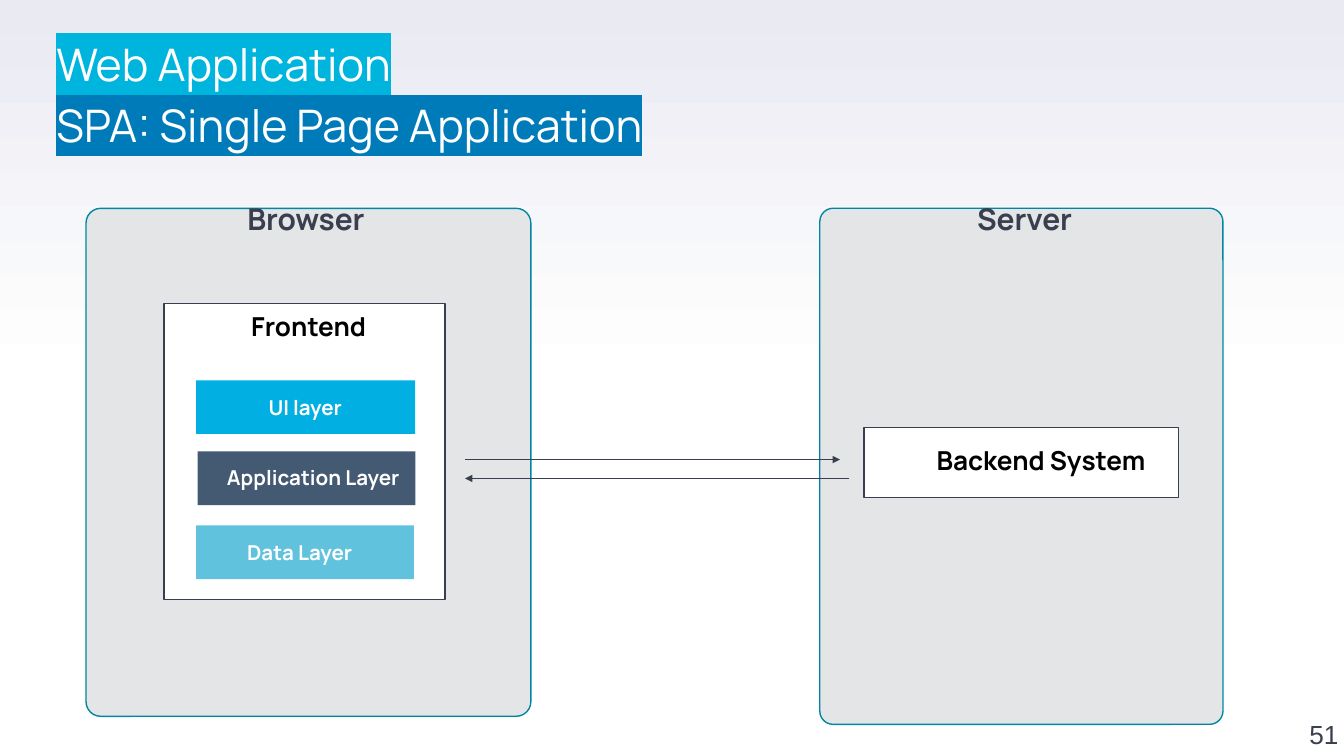
"""Builds a slide on the single page application architecture."""
import dataclasses

import lxml.etree
import pptx
import pptx.dml.color
import pptx.enum.shapes
import pptx.enum.text
import pptx.oxml.ns
import pptx.util

Inches = pptx.util.Inches
Pt = pptx.util.Pt
Shape = pptx.enum.shapes.MSO_SHAPE
Align = pptx.enum.text.PP_ALIGN
Anchor = pptx.enum.text.MSO_ANCHOR
qn = pptx.oxml.ns.qn


@dataclasses.dataclass(frozen=True)
class Theme:
    """Fonts, type sizes and colours of the slide."""
    font: str = "Manrope"
    number_font: str = "Arial"
    title_size: int = 24
    zone_size: int = 16
    system_size: int = 14
    layer_size: int = 11
    line_width: float = 0.75
    ink: str = "3A3F50"
    black: str = "000000"
    white: str = "FFFFFF"
    sky: str = "E9EAF2"
    zone: str = "E3E5E7"
    zone_edge: str = "0086A3"
    title_cyan: str = "00B5DD"
    title_blue: str = "007BB9"
    ui: str = "01AFE2"
    application: str = "435A72"
    data: str = "61C2DD"


def rgb(color):
    """Turn a hex string into a colour."""
    return pptx.dml.color.RGBColor.from_string(color)


def write(para, text, *, size, color, font, bold=False, highlight=None, spacing=None, align=Align.LEFT):
    """Add one formatted span to a paragraph."""
    para.alignment = align
    if spacing:
        para.line_spacing = spacing
    span = para.add_run()
    span.text = text
    span.font.size = Pt(size)
    span.font.name = font
    span.font.bold = bold
    span.font.color.rgb = rgb(color)
    if highlight:
        mark = lxml.etree.Element(qn("a:highlight"))
        lxml.etree.SubElement(mark, qn("a:srgbClr"), val=highlight)
        span.font._element.find(qn("a:solidFill")).addnext(mark)


class Painter:
    """Draws styled elements on the current slide."""

    def __init__(self, page, theme):
        """Keep the slide and its style."""
        self.page = page
        self.theme = theme

    def background(self):
        """Fade the page from a tint at the top to white at the middle."""
        fill = self.page.background.fill
        fill.gradient()
        fill.gradient_angle = 90
        stops = zip(fill.gradient_stops, (0.5, 1), (self.theme.white, self.theme.sky))
        for stop, position, color in stops:
            stop.position = position
            stop.color.rgb = rgb(color)

    def frame(self, box, inset=(0, 0), anchor=Anchor.TOP):
        """Set wrapping, insets and anchor, and return the text frame."""
        frame = box.text_frame
        frame.word_wrap = True
        frame.auto_size = pptx.enum.text.MSO_AUTO_SIZE.NONE
        frame.vertical_anchor = anchor
        frame.margin_left = frame.margin_right = Inches(inset[0])
        frame.margin_top = frame.margin_bottom = Inches(inset[1])
        return frame

    def title(self, lines, left, top, width, height):
        """Fill the title placeholder with highlighted lines."""
        box = self.page.shapes.title
        box.left, box.top = Inches(left), Inches(top)
        box.width, box.height = Inches(width), Inches(height)
        frame = self.frame(box)
        for index, (text, highlight) in enumerate(lines):
            para = frame.add_paragraph() if index else frame.paragraphs[0]
            write(para, text, size=self.theme.title_size, color=self.theme.white,
                  font=self.theme.font, highlight=highlight, spacing=1.15)

    def panel(self, left, top, width, height, fill, edge=None, corner=None):
        """Draw a rectangle, rounded when a corner is given."""
        kind = Shape.ROUNDED_RECTANGLE if corner else Shape.RECTANGLE
        box = self.page.shapes.add_shape(
            kind, Inches(left), Inches(top), Inches(width), Inches(height))
        box.shadow.inherit = False
        if corner:
            box.adjustments[0] = corner
        box.fill.solid()
        box.fill.fore_color.rgb = rgb(fill)
        if edge:
            box.line.color.rgb = rgb(edge)
            box.line.width = Pt(self.theme.line_width)
        else:
            box.line.fill.background()

    def label(self, text, left, top, width, height, *, inset=(0.1, 0.05), anchor=Anchor.TOP, **style):
        """Place a one-line text box."""
        box = self.page.shapes.add_textbox(
            Inches(left), Inches(top), Inches(width), Inches(height))
        style = {"font": self.theme.font, "bold": True} | style
        write(self.frame(box, inset, anchor).paragraphs[0], text, **style)
        return box

    def zone_label(self, text, left, top, width, height, indent):
        """Place an indented zone heading."""
        box = self.label(text, left, top, width, height, inset=(0, 0),
                         size=self.theme.zone_size, color=self.theme.ink, spacing=1.1)
        box.text_frame.margin_left = Inches(indent)

    def arrow(self, start, end, level):
        """Draw a horizontal arrow with a small head."""
        line = self.page.shapes.add_connector(
            pptx.enum.shapes.MSO_CONNECTOR.STRAIGHT,
            Inches(start), Inches(level), Inches(end), Inches(level))
        line.line.color.rgb = rgb(self.theme.ink)
        line.line.width = Pt(self.theme.line_width)
        lxml.etree.SubElement(line.line._get_or_add_ln(), qn("a:tailEnd"),
                              type="triangle", w="sm", len="sm")
        lxml.etree.SubElement(line._element.spPr, qn("a:effectLst"))


def main():
    """Build and save the deck."""
    theme = Theme()
    deck = pptx.Presentation()
    deck.slide_width = Inches(10)
    deck.slide_height = deck.slide_width * 9 // 16
    painter = Painter(deck.slides.add_slide(deck.slide_layouts[5]), theme)

    painter.background()
    painter.title([("Web Application", theme.title_cyan),
                   ("SPA: Single Page Application", theme.title_blue)],
                  0.42, 0.21, 5.69, 0.98)
    painter.label("51", 9.46, 5.07, 0.5, 0.51, inset=(0, 0), anchor=Anchor.BOTTOM,
                  size=theme.system_size, color=theme.ink, font=theme.number_font,
                  bold=False, align=Align.RIGHT)

    zones = [("Server", (6.1, 1.55, 3, 3.84), (6.65, 1.47, 1.46, 0.29)),
             ("Browser", (0.64, 1.55, 3.31, 3.78), (1.22, 1.47, 2.3, 0.29))]
    for name, area, place in zones:
        painter.panel(*area, theme.zone, theme.zone_edge, corner=0.033)
        painter.zone_label(name, *place, indent=0.62)

    painter.arrow(3.46, 6.25, 3.42)
    painter.arrow(6.32, 3.46, 3.56)

    systems = [("Backend System", (6.43, 3.18, 2.34, 0.52), (6.87, 3.26, 1.93)),
               ("Frontend", (1.22, 2.26, 2.09, 2.2), (1.77, 2.26, 1.18))]
    for name, area, place in systems:
        painter.panel(*area, theme.white, theme.ink)
        painter.label(name, *place, 0.34, size=theme.system_size, color=theme.black)

    layers = [("UI layer", (1.46, 2.83, 1.63), (1.9, 2.89, 1.07), theme.ui),
              ("Application Layer", (1.47, 3.36, 1.62), (1.59, 3.41, 1.8), theme.application),
              ("Data Layer", (1.46, 3.91, 1.62), (1.74, 3.97, 1.07), theme.data)]
    for name, area, place, fill in layers:
        painter.panel(*area, 0.4, fill)
        painter.label(name, *place, 0.29, size=theme.layer_size, color=theme.white)

    deck.save("out.pptx")


if __name__ == "__main__":
    main()
